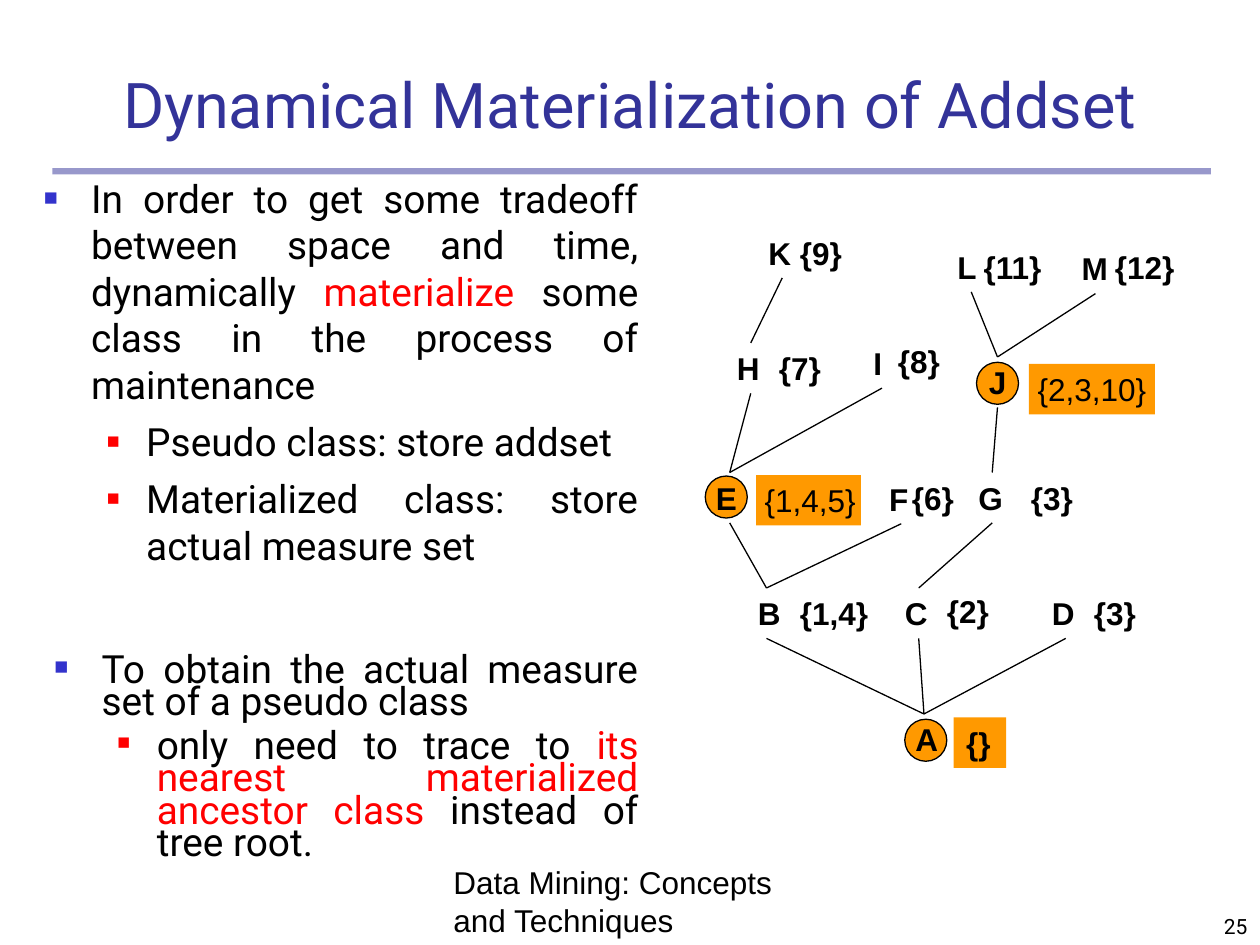
"""Build the slide on dynamical materialization of addset."""
from lxml import etree
from pptx import Presentation
from pptx.dml.color import RGBColor
from pptx.enum.shapes import MSO_CONNECTOR, MSO_SHAPE
from pptx.enum.text import MSO_ANCHOR, PP_ALIGN
from pptx.oxml.ns import qn
from pptx.util import Pt

RECT, OVAL = MSO_SHAPE.RECTANGLE, MSO_SHAPE.OVAL
LINE = MSO_CONNECTOR.STRAIGHT
TOP, BOTTOM = MSO_ANCHOR.TOP, MSO_ANCHOR.BOTTOM
LEFT, MID, RIGHT, FULL = PP_ALIGN.LEFT, PP_ALIGN.CENTER, PP_ALIGN.RIGHT, PP_ALIGN.JUSTIFY

THEME = {
    "ink": RGBColor.from_string("000000"),
    "navy": RGBColor.from_string("333399"),
    "red": RGBColor.from_string("FF0000"),
    "gold": RGBColor.from_string("FF9900"),
    "bullets": [("3333CC", 60), ("FF0000", 55)],
    "title": {"name": "Roboto", "size": Pt(36)},
    "body": {"name": "Roboto", "size": Pt(22.2)},
    "label": {"name": "Arial", "size": Pt(18), "bold": True},
    "plain": {"name": "Arial", "size": Pt(18), "bold": False},
    "page": {"name": "Roboto", "size": Pt(12)},
}
INDENTS = [(27, -27), (58.5, -22.5)]
HIGH = 28.8

deck = Presentation()
deck.slide_width, deck.slide_height = Pt(720), Pt(540)
slide = deck.slides.add_slide(deck.slide_layouts[6])
shapes = slide.shapes


def draw(kind, box, fill, edge=None):
    shape = shapes.add_shape(kind, *map(Pt, box))
    shape.shadow.inherit = False
    shape.fill.solid()
    shape.fill.fore_color.rgb = fill
    if edge is None:
        shape.line.fill.background()
    else:
        shape.line.color.rgb = edge
        shape.line.width = Pt(0.75)
    return shape


def write(shape, paras, style, align=LEFT, anchor=TOP, inset=(7.2, 7.2), ink="ink", space=None):
    frame = shape.text_frame
    form = {
        "word_wrap": True, "vertical_anchor": anchor,
        "margin_left": Pt(inset[0]), "margin_right": Pt(inset[1]),
        "margin_top": Pt(3.6), "margin_bottom": Pt(3.6),
    }
    for key, value in form.items():
        setattr(frame, key, value)
    for num, (level, parts) in enumerate(paras):
        para = frame.add_paragraph() if num else frame.paragraphs[0]
        para.alignment = align
        para.space_before = Pt(6 if num else 0)
        if space:
            para.line_spacing = space
        if level is not None:
            para.level = level
            props = para._p.get_or_add_pPr()
            for key, value in zip(("marL", "indent"), INDENTS[level]):
                props.set(key, str(Pt(value)))
            tint, scale = THEME["bullets"][level]
            color = etree.SubElement(props, qn("a:buClr"))
            etree.SubElement(color, qn("a:srgbClr"), val=tint)
            etree.SubElement(props, qn("a:buSzPct"), val=str(scale * 1000))
            etree.SubElement(props, qn("a:buFont"), typeface="Arial")
            etree.SubElement(props, qn("a:buChar"), char="■")
        for text, *tone in parts:
            run = para.add_run()
            run.text = text
            for key, value in THEME[style].items():
                setattr(run.font, key, value)
            run.font.color.rgb = THEME[tone[0] if tone else ink]


bar = draw(RECT, (30, 96, 662, 3.6), THEME["navy"])
tint = bar._element.spPr.find(".//" + qn("a:srgbClr"))
etree.SubElement(tint, qn("a:alpha"), val="50000")

goals = [
    (0, [("In order to get some tradeoff between space and time, dynamically ",),
         ("materialize", "red"), (" some class in the process of maintenance",)]),
    (1, [("Pseudo class: store addset",)]),
    (1, [("Materialized class: store actual measure set",)]),
]
steps = [
    (0, [("To obtain the actual measure set of a pseudo class",)]),
    (1, [("only need to trace to ",),
         ("its nearest materialized ancestor class", "red"), (" instead of tree root.",)]),
]
title = [(None, [("Dynamical Materialization of Addset",)])]
foot = [(None, [("Data Mining: Concepts and Techniques",)])]
page = [(None, [("25",)])]
blocks = [
    ((30, 30, 660, 54), title, "title", {"align": MID, "anchor": BOTTOM, "ink": "navy"}),
    ((18, 96, 354, 234), goals, "body", {"align": FULL}),
    ((24, 372, 348, 156), steps, "body", {"align": FULL, "space": 0.7}),
    ((252, 498, 228, 42), foot, "plain", {"anchor": BOTTOM}),
    ((570, 504, 150, 36), page, "page", {"align": RIGHT, "anchor": BOTTOM}),
]
for box, paras, style, form in blocks:
    write(shapes.add_textbox(*map(Pt, box)), paras, style, **form)

nodes = {
    "K": (432, 130, 30), "L": (540, 138, 30), "M": (611, 139, 30),
    "H": (414, 196, 30), "I": (492, 193, 24), "J": (558, 204, 24),
    "E": (402, 270, 30), "F": (501, 270.5, 28), "G": (552, 270, 30),
    "B": (426, 336, 24), "C": (510, 336, 30), "D": (594, 336, 30),
    "A": (516, 408, 24),
}
sets = [
    ("{9}", 450, 130, 54), ("{11}", 555, 138, 54), ("{12}", 630, 138, 54),
    ("{7}", 438, 196, 54), ("{8}", 506, 192, 54), ("{6}", 514, 270, 54),
    ("{3}", 582, 270, 54), ("{1,4}", 450, 336, 54), ("{2}", 534, 335, 48),
    ("{3}", 618, 336, 42),
]
stores = [
    ("{1,4,5}", 432, 271.5, 60, "plain", (5, 0)),
    ("{2,3,10}", 588, 208, 72, "plain", (5, 0)),
    ("{}", 545, 410, 30, "label", (7.2, 7.2)),
]
for left, top in [(403, 272), (558, 207), (517, 411)]:
    draw(OVAL, (left, top, 24, 24), THEME["gold"], THEME["ink"])

for high, low in "KH LJ MJ HE IE JG EB FB GC BA CA DA".split():
    (left, top, wide), (end, base, span) = nodes[high], nodes[low]
    ends = left + wide / 2, top + HIGH, end + span / 2, base
    link = shapes.add_connector(LINE, *map(Pt, ends))
    link.line.color.rgb = THEME["ink"]
    link.line.width = Pt(0.75)
    etree.SubElement(link._element.spPr, qn("a:effectLst"))

labels = [(name, *place) for name, place in nodes.items()] + sets
for text, left, top, wide in labels:
    label = shapes.add_textbox(Pt(left), Pt(top), Pt(wide), Pt(HIGH))
    write(label, [(None, [(text,)])], "label")

for text, left, top, wide, style, inset in stores:
    store = draw(RECT, (left, top, wide, HIGH), THEME["gold"])
    write(store, [(None, [(text,)])], style, inset=inset)

deck.save("out.pptx")
